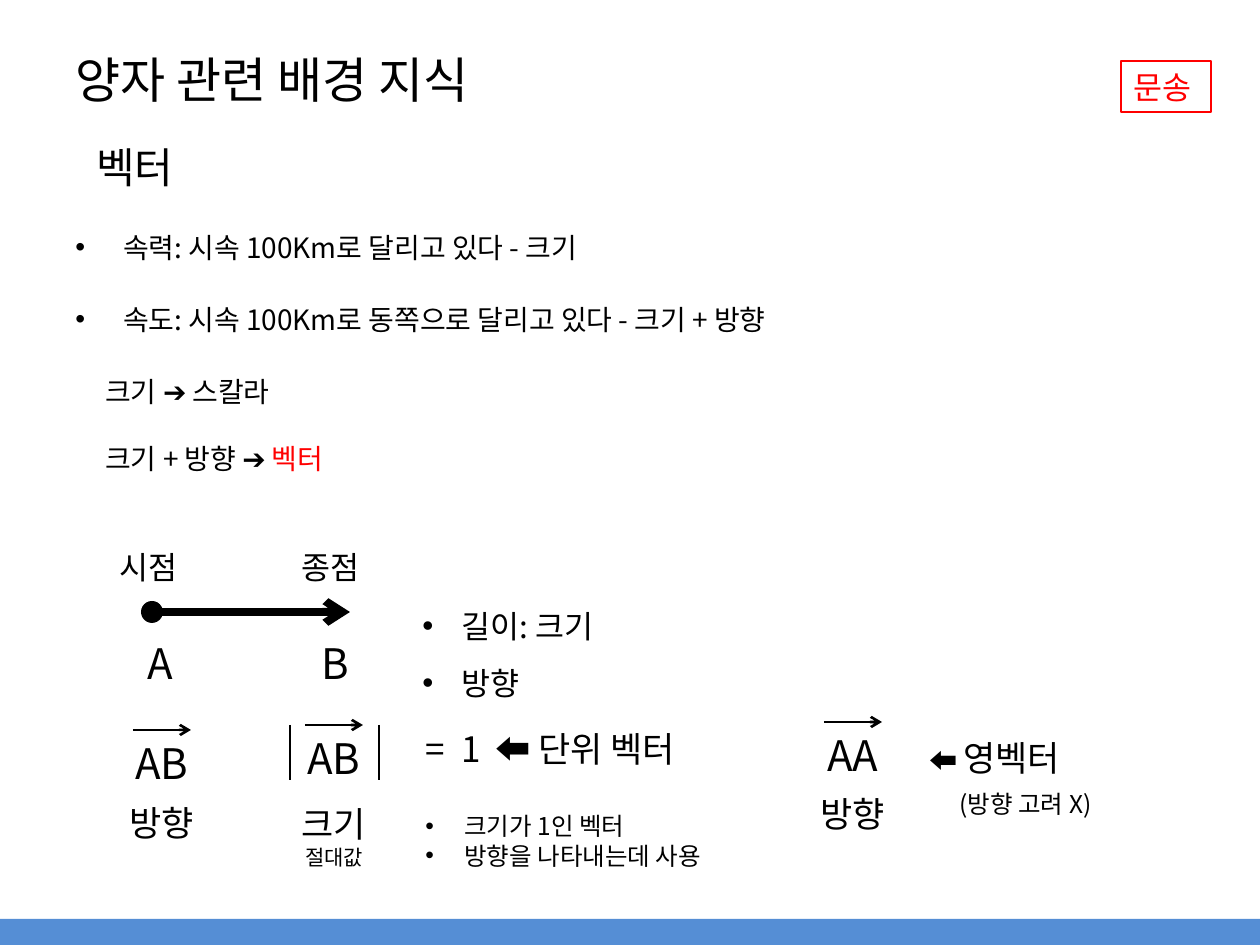
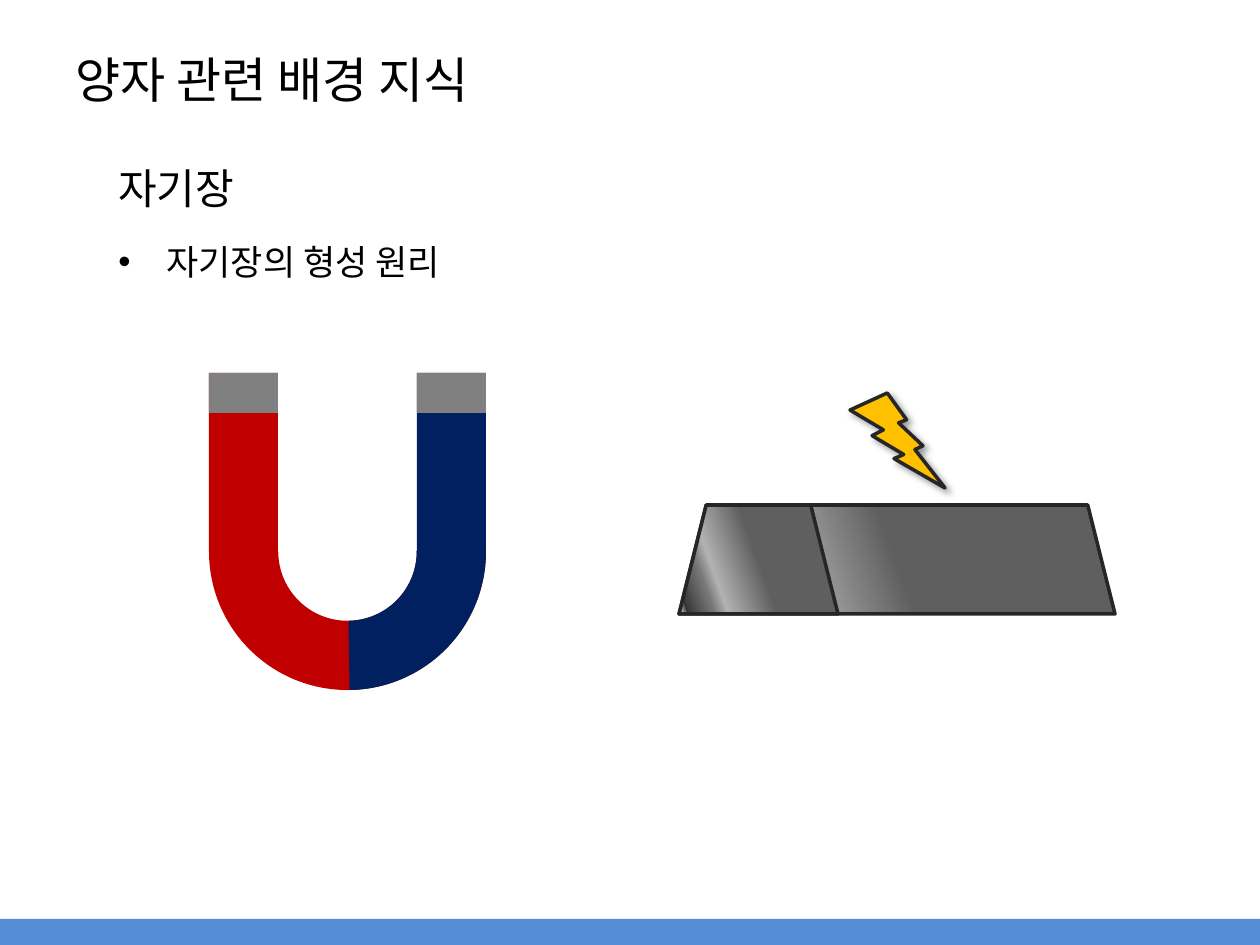
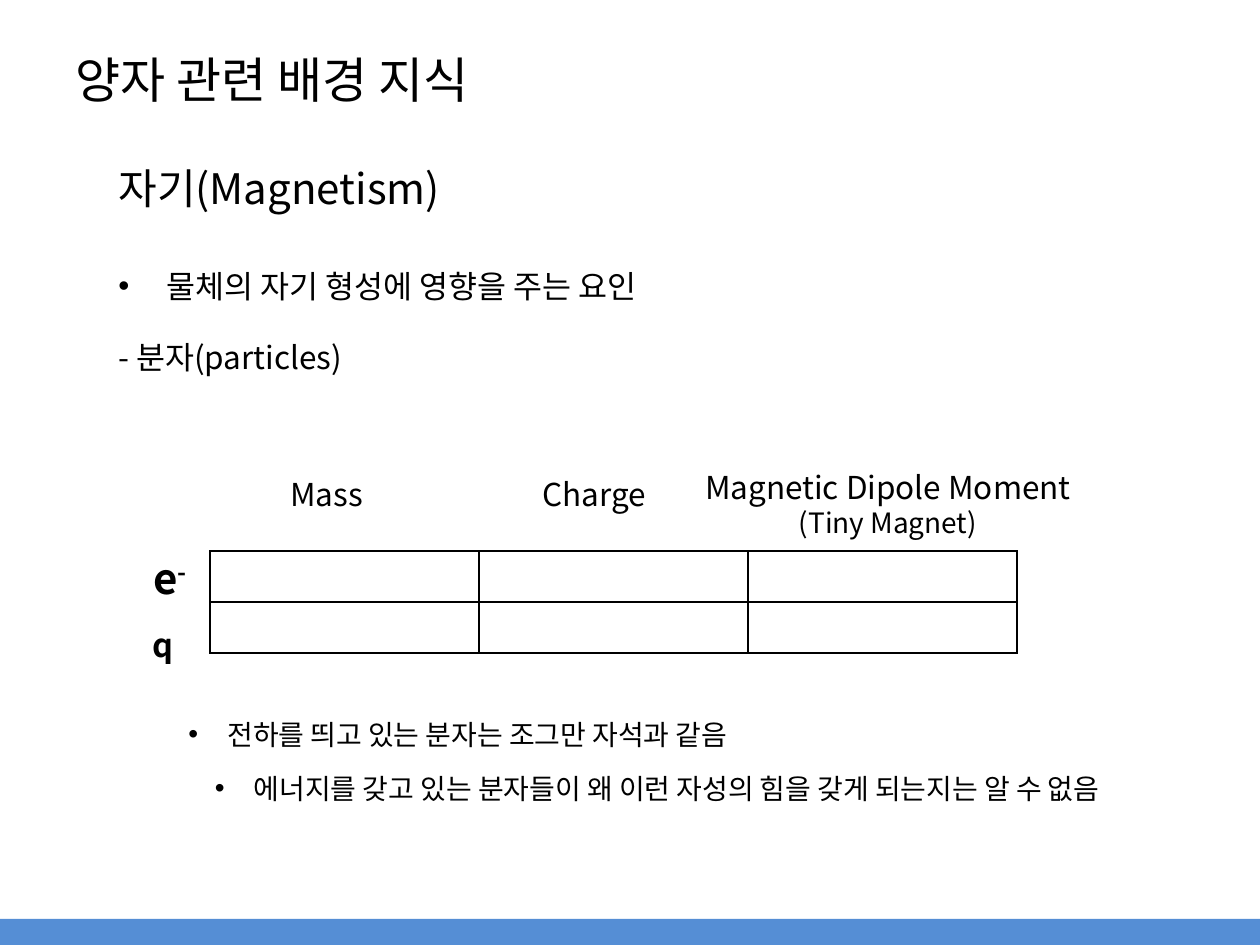
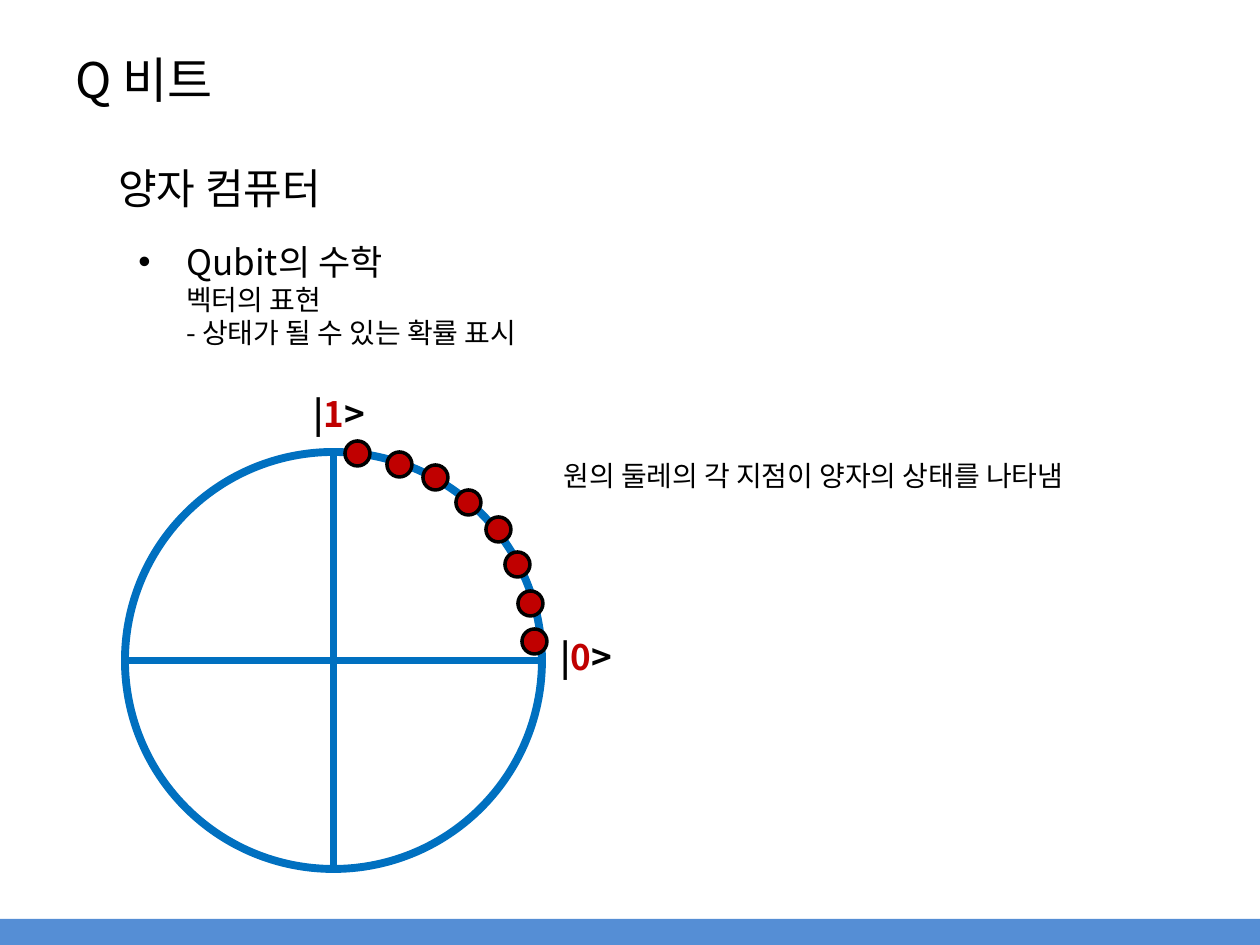
from dataclasses import dataclass
from typing import Optional

from lxml.etree import SubElement
from pptx import Presentation
from pptx.dml.color import RGBColor
from pptx.enum.shapes import MSO_CONNECTOR, MSO_SHAPE
from pptx.enum.text import MSO_ANCHOR, PP_ALIGN
from pptx.oxml.ns import qn
from pptx.util import Emu, Pt

FONT = "Noto Sans CJK KR"
BLACK = RGBColor(0x00, 0x00, 0x00)
RED = RGBColor(0xFF, 0x00, 0x00)
DARK_RED = RGBColor(0xC0, 0x00, 0x00)
NAVY = RGBColor(0x00, 0x20, 0x60)
GRAY = RGBColor(0x80, 0x80, 0x80)
CHARCOAL = RGBColor(0x26, 0x26, 0x26)
AMBER = RGBColor(0xFF, 0xC0, 0x00)
CIRCLE_BLUE = RGBColor(0x00, 0x70, 0xC0)
BAND_BLUE = RGBColor(0x55, 0x8E, 0xD5)
METAL_STOPS = [
    (0, "CBCBCB"), (0, "5F5F5F"), (50, "5F5F5F"), (75, "B2B2B2"), (82, "777777"),
    (95, "3B3B3B"), (95, "292929"), (100, "FFFFFF"), (100, "EAEAEA"),
]

SLIDE_WIDTH, SLIDE_HEIGHT = 1260, 945
TITLE_BOX = (63, 0, 1134, 158)
BAND_BOX = (0, 919, SLIDE_WIDTH, 26)
CENTER = PP_ALIGN.CENTER


def px(length):
    return Emu(round(length * 914400 / 126))


@dataclass
class Line:
    """One paragraph; its content is a string or a list of strings and (string, font changes)."""
    content: object
    size: int
    align: PP_ALIGN = PP_ALIGN.LEFT
    bullet: bool = False
    indent: int = 0
    before: int = 0
    spacing: Optional[float] = None
    tabs: tuple = ()
    color: RGBColor = BLACK
    bold: bool = False


BACKGROUND_TITLE = "양자 관련 배경 지식"

VECTOR_TEXTS = [
    ((63, 224, 1134, 307), [
        Line("속력: 시속 100Km로 달리고 있다 - 크기", 16, bullet=True, indent=48),
        Line("속도: 시속 100Km로 동쪽으로 달리고 있다 - 크기 + 방향", 16,
             bullet=True, indent=48, before=22),
        Line("크기 ➔ 스칼라", 16, indent=30, before=22),
        Line(["크기 + 방향 ➔ ", ("벡터", {"color": RED})], 16, indent=30, before=19),
    ]),
    ((84, 135, 318, 63), [Line("벡터", 24)]),
    ((107, 542, 89, 50), [Line("시점", 18)]),
    ((289, 542, 89, 50), [Line("종점", 18)]),
    ((134, 631, 53, 63), [Line("A", 24, CENTER)]),
    ((309, 631, 50, 63), [Line("B", 24, CENTER)]),
    ((410, 582, 258, 120), [
        Line(text, 18, bullet=True, indent=39, spacing=1.5) for text in ("길이: 크기", "방향")
    ]),
    ((413, 721, 363, 157), [
        Line("=\t1\t⬅ 단위 벡터", 20, tabs=(36, 70)),
        Line("크기가 1인 벡터", 14, bullet=True, indent=39, before=24),
        Line("방향을 나타내는데 사용", 14, bullet=True, indent=39),
    ]),
    ((917, 730, 328, 97), [
        Line([("⬅ ", {"size": 16}), "영벡터"], 20),
        Line("(방향 고려 X)", 14, indent=30, before=6),
    ]),
]
# symbol, left, top, caption top, caption lines
VECTORS = [
    ("AB", 103, 731, 795, [("방향", 20)]),
    ("AB", 275, 726, 796, [("크기", 20), ("절대값", 12)]),
    ("AA", 794, 723, 786, [("방향", 20)]),
]
MAGNITUDE_BARS = (290, 379)
TAG_BOX, TAG_TEXT = (1121, 61, 90, 51), "문송"

MAGNET_TEXTS = [
    ((106, 156, 318, 63), [Line("자기장", 24)]),
    ((106, 234, 505, 56), [Line("자기장의 형성 원리", 20, bullet=True, indent=48)]),
]
MAGNET_ARC = (209, 413, 277, 277)
MAGNET_LEFT, MAGNET_RIGHT, MAGNET_TOP, POLE_WIDTH = 209, 417, 373, 69
METAL_BARS = [(679, 505, 436, 109), (679, 505, 159, 109)]

MAGNETISM_TEXTS = [
    ((106, 156, 396, 63), [Line("자기(Magnetism)", 24)]),
    ((106, 261, 1120, 123), [
        Line("물체의 자기 형성에 영향을 주는 요인", 18, bullet=True, indent=48),
        Line("- 분자(particles)", 18, before=19),
    ]),
    ((141, 546, 70, 63), [Line(["e", ("-", {"baseline": 30})], 24, bold=True)]),
    ((140, 612, 60, 58), [Line([("q", {"baseline": 30})], 32, bold=True)]),
    ((278, 469, 407, 50), [Line("Mass\tCharge", 18, tabs=(252,))]),
    ((689, 462, 398, 84), [
        Line("Magnetic Dipole Moment", 18, CENTER), Line("(Tiny Magnet)", 16, CENTER),
    ]),
    ((141, 711, 634, 47), [
        Line("전하를 띄고 있는 분자는 조그만 자석과 같음", 16, CENTER, bullet=True, indent=39),
    ]),
    ((141, 765, 1033, 47), [
        Line("에너지를 갖고 있는 분자들이 왜 이런 자성의 힘을 갖게 되는지는 알 수 없음", 16,
             CENTER, bullet=True, indent=39),
    ]),
]
PARTICLE_TABLE = (210, 551, 807, 102)
PARTICLE_ROWS, PARTICLE_COLUMNS = 2, 3


def ket(digit, align):
    return [Line(["|", (digit, {"color": DARK_RED}), ">"], 20, align, bold=True)]


QUBIT_TEXTS = [
    ((106, 156, 318, 63), [Line("양자 컴퓨터", 24)]),
    ((126, 234, 833, 165), [
        Line("Qubit의 수학", 20, bullet=True, indent=48),
        Line("벡터의 표현", 16, indent=48),
        Line("- 상태가 될 수 있는 확률 표시", 16, indent=48),
    ]),
    ((501, 452, 625, 47), [Line("원의 둘레의 각 지점이 양자의 상태를 나타냄", 16, CENTER)]),
    ((253, 386, 173, 49), ket("1", CENTER)),
    ((548, 629, 173, 49), ket("0", PP_ALIGN.LEFT)),
]
STATE_CIRCLE = (125, 452, 417, 417)
STATE_DOT_SIZE = 25
STATE_DOTS = [
    (345, 441), (387, 452), (423, 465), (456, 490),
    (486, 517), (505, 552), (518, 591), (522, 629),
]


def write_line(paragraph, line):
    properties = paragraph._p.get_or_add_pPr()
    if line.indent:
        properties.set("marL", str(px(line.indent)))
        properties.set("indent", str(px(-line.indent if line.bullet else 0)))
    if line.bullet:
        SubElement(properties, qn("a:buFont"), typeface="Arial")
        SubElement(properties, qn("a:buChar"), char="•")
    if line.tabs:
        tab_list = SubElement(properties, qn("a:tabLst"))
        for position in line.tabs:
            SubElement(tab_list, qn("a:tab"), pos=str(px(position)), algn="l")
    paragraph.alignment = line.align
    if line.before:
        paragraph.space_before = Pt(line.before)
    if line.spacing:
        paragraph.line_spacing = line.spacing
    font = paragraph.font
    font.size, font.bold, font.name = Pt(line.size), line.bold, FONT
    font.color.rgb = line.color
    SubElement(properties.find(qn("a:defRPr")), qn("a:ea"), typeface=FONT)

    pieces = [line.content] if isinstance(line.content, str) else line.content
    for piece in pieces:
        text, changes = (piece, {}) if isinstance(piece, str) else piece
        run = paragraph.add_run()
        run.text = text
        if "size" in changes:
            run.font.size = Pt(changes["size"])
        if "color" in changes:
            run.font.color.rgb = changes["color"]
        if "baseline" in changes:
            run._r.get_or_add_rPr().set("baseline", str(changes["baseline"] * 1000))


def write_lines(text_frame, lines):
    text_frame.word_wrap = True
    for index, line in enumerate(lines):
        paragraph = text_frame.add_paragraph() if index else text_frame.paragraphs[0]
        write_line(paragraph, line)


def add_text(slide, box, lines):
    write_lines(slide.shapes.add_textbox(*map(px, box)).text_frame, lines)


def add_shape(slide, kind, box, fill=None, line=None, width=2):
    shape = slide.shapes.add_shape(kind, *map(px, box))
    shape.shadow.inherit = False
    if fill is None:
        shape.fill.background()
    else:
        shape.fill.solid()
        shape.fill.fore_color.rgb = fill
    if line is None:
        shape.line.fill.background()
    else:
        shape.line.color.rgb = line
        shape.line.width = Pt(width)
    return shape


def add_line(slide, start, end, width=1.5, arrow=False):
    connector = slide.shapes.add_connector(MSO_CONNECTOR.STRAIGHT, *map(px, start + end))
    connector.line.color.rgb = BLACK
    connector.line.width = Pt(width)
    properties = connector._element.spPr
    if arrow:
        SubElement(properties.find(qn("a:ln")), qn("a:tailEnd"), type="arrow")
    SubElement(properties, qn("a:effectLst"))


def add_slide(presentation, title, texts):
    """Add a slide with the shared title and band, then its text boxes."""
    slide = presentation.slides.add_slide(presentation.slide_layouts[5])
    heading = slide.shapes.title
    heading.left, heading.top, heading.width, heading.height = map(px, TITLE_BOX)
    heading.text_frame.vertical_anchor = MSO_ANCHOR.MIDDLE
    write_lines(heading.text_frame, [Line(title, 28)])
    add_shape(slide, MSO_SHAPE.RECTANGLE, BAND_BOX, BAND_BLUE)
    for box, lines in texts:
        add_text(slide, box, lines)
    return slide


def fill_metal(shape):
    shape.fill.gradient()
    gradient = shape._element.spPr.find(qn("a:gradFill"))
    stops = gradient.find(qn("a:gsLst"))
    for stop in list(stops):
        stops.remove(stop)
    for position, color in METAL_STOPS:
        stop = SubElement(stops, qn("a:gs"), pos=str(position * 1000))
        SubElement(stop, qn("a:srgbClr"), val=color)
    gradient.find(qn("a:lin")).set("ang", str(160 * 60000))


def add_drop_shadow(shape):
    effects = shape._element.spPr.find(qn("a:effectLst"))
    shadow = SubElement(effects, qn("a:outerShdw"), blurRad=str(Pt(4)), dist=str(Pt(3)),
                        dir=str(45 * 60000), algn="tl", rotWithShape="0")
    color = SubElement(shadow, qn("a:srgbClr"), val=str(BLACK))
    SubElement(color, qn("a:alpha"), val="40000")


def add_vector_slide(presentation):
    slide = add_slide(presentation, BACKGROUND_TITLE, VECTOR_TEXTS)
    add_line(slide, (152, 612), (350, 612), 4.5, arrow=True)
    add_shape(slide, MSO_SHAPE.OVAL, (141, 601, 22, 22), BLACK)
    for symbol, left, top, caption_top, captions in VECTORS:
        add_text(slide, (left, top, 118, 63), [Line(symbol, 24, CENTER)])
        add_line(slide, (left + 30, top - 1), (left + 88, top - 1), arrow=True)
        add_text(slide, (left, caption_top, 118, 56 + 25 * (len(captions) - 1)),
                 [Line(text, size, CENTER) for text, size in captions])
    for x in MAGNITUDE_BARS:
        add_line(slide, (x, 725), (x, 780))
    tag = add_shape(slide, MSO_SHAPE.RECTANGLE, TAG_BOX, line=RED, width=1.5)
    write_lines(tag.text_frame, [Line(TAG_TEXT, 18, color=RED)])


def add_magnet_arc(slide, color, adjustments):
    arc = add_shape(slide, MSO_SHAPE.BLOCK_ARC, MAGNET_ARC, color)
    arc.rotation = 180
    for index, value in enumerate(adjustments):
        arc.adjustments[index] = value


def add_magnet_slide(presentation):
    slide = add_slide(presentation, BACKGROUND_TITLE, MAGNET_TEXTS)
    add_magnet_arc(slide, DARK_RED, (107.63, 0, 0.25))
    for left, color in ((MAGNET_LEFT, DARK_RED), (MAGNET_RIGHT, NAVY)):
        for height, fill in ((179, color), (40, GRAY)):
            add_shape(slide, MSO_SHAPE.RECTANGLE, (left, MAGNET_TOP, POLE_WIDTH, height), fill)
    add_magnet_arc(slide, NAVY, (107.63, 161.49, 0.25))
    for box in METAL_BARS:
        fill_metal(add_shape(slide, MSO_SHAPE.TRAPEZOID, box, line=CHARCOAL))
    add_drop_shadow(add_shape(slide, MSO_SHAPE.LIGHTNING_BOLT, (850, 393, 95, 95),
                              AMBER, CHARCOAL))


def add_cell_borders(cell):
    properties = cell._tc.get_or_add_tcPr()
    for index, side in enumerate(("lnL", "lnR", "lnT", "lnB")):
        border = properties.makeelement(qn(f"a:{side}"), {"w": str(Pt(1))})
        SubElement(SubElement(border, qn("a:solidFill")), qn("a:srgbClr"), val=str(BLACK))
        properties.insert(index, border)


def add_magnetism_slide(presentation):
    slide = add_slide(presentation, BACKGROUND_TITLE, MAGNETISM_TEXTS)
    table = slide.shapes.add_table(PARTICLE_ROWS, PARTICLE_COLUMNS,
                                   *map(px, PARTICLE_TABLE)).table
    table.first_row = table.horz_banding = False
    for cell in table.iter_cells():
        cell.fill.background()
        add_cell_borders(cell)


def add_qubit_slide(presentation):
    slide = add_slide(presentation, "Q 비트", QUBIT_TEXTS)
    add_shape(slide, MSO_SHAPE.FLOWCHART_OR, STATE_CIRCLE, line=CIRCLE_BLUE, width=4.5)
    for left, top in STATE_DOTS:
        add_shape(slide, MSO_SHAPE.OVAL, (left, top, STATE_DOT_SIZE, STATE_DOT_SIZE),
                  DARK_RED, BLACK)


def main():
    presentation = Presentation()
    presentation.slide_width, presentation.slide_height = px(SLIDE_WIDTH), px(SLIDE_HEIGHT)
    add_vector_slide(presentation)
    add_magnet_slide(presentation)
    add_magnetism_slide(presentation)
    add_qubit_slide(presentation)
    presentation.save("out.pptx")


if __name__ == "__main__":
    main()
